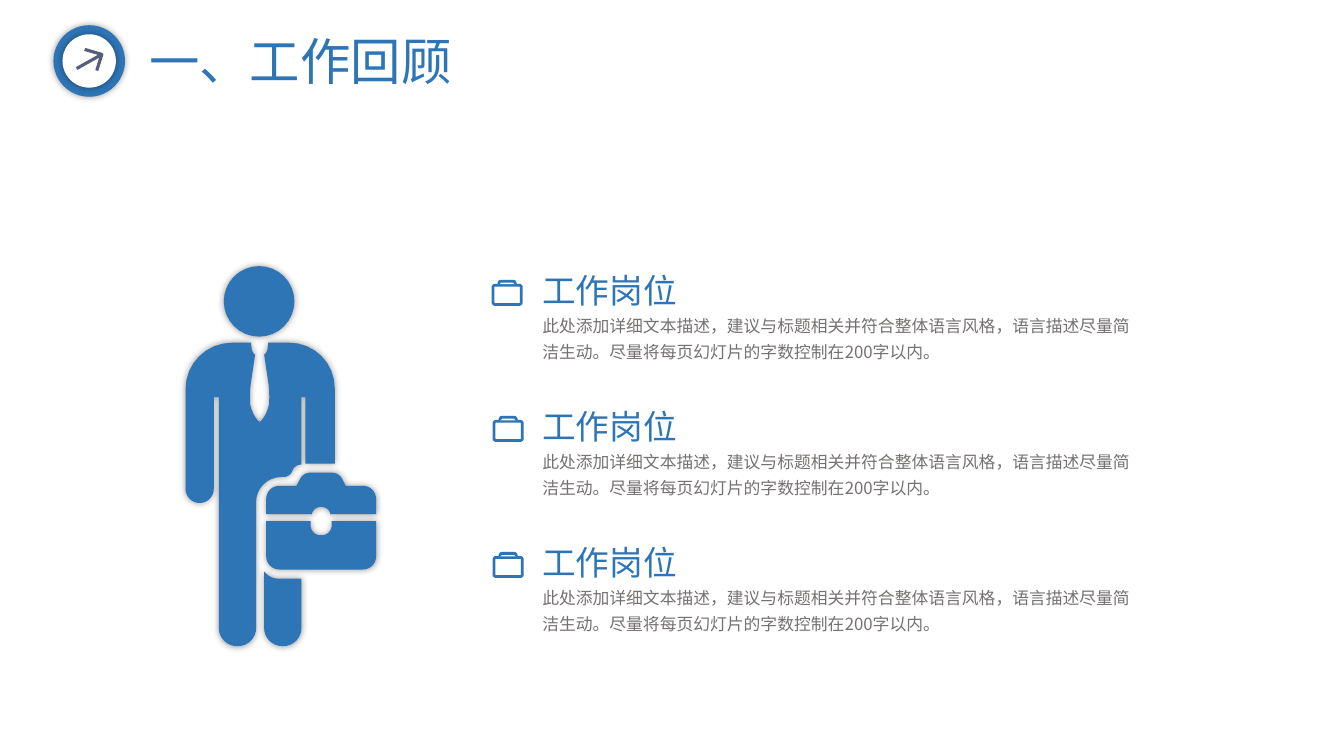
"""Build the work review slide with a businessman figure and three job entries."""
from math import cos, dist, pi, sin

from lxml.etree import SubElement
from pptx import Presentation
from pptx.dml.color import RGBColor
from pptx.enum.shapes import MSO_CONNECTOR as CONNECTOR, MSO_SHAPE as SHAPE
from pptx.enum.text import MSO_AUTO_SIZE as AUTO_SIZE
from pptx.oxml.ns import qn
from pptx.util import Pt

PX = 9144
BLUE, WHITE, SLATE, GRAY = "2E75B6", "FFFFFF", "545D79", "767171"
HEADING_FONT, BODY_FONT = "Noto Sans CJK JP", "Noto Sans CJK SC"
DESCRIPTION = ("此处添加详细文本描述，建议与标题相关并符合整体语言风格，"
               "语言描述尽量简洁生动。尽量将每页幻灯片的字数控制在200字以内。")
ENTRY_COUNT, ENTRY_PITCH = 3, 135
ARC_STEPS = 8


def style(shape, fill=None, line=None, width=2, glow=False):
    if fill:
        shape.fill.solid()
        shape.fill.fore_color.rgb = RGBColor.from_string(fill)
    if line:
        shape.line.color.rgb = RGBColor.from_string(line)
        shape.line.width = Pt(width)
    else:
        shape.line.fill.background()
    effects = SubElement(shape._element.spPr, qn("a:effectLst"))
    if glow:
        shadow = SubElement(effects, qn("a:outerShdw"), blurRad=str(Pt(5)), dist="0", dir="0",
                            algn="ctr", rotWithShape="0")
        color = SubElement(shadow, qn("a:srgbClr"), val="000000")
        SubElement(color, qn("a:alpha"), val="40000")


def add_text(shapes, text, left, top, width, height, size, font=HEADING_FONT, color=BLUE,
             wrap=True, spacing=None):
    box = shapes.add_textbox(left * PX, top * PX, width * PX, height * PX)
    frame = box.text_frame
    frame.word_wrap = wrap
    frame.auto_size = AUTO_SIZE.SHAPE_TO_FIT_TEXT
    paragraph = frame.paragraphs[0]
    paragraph.line_spacing = spacing
    run = paragraph.add_run()
    run.text = text
    run.font.size = Pt(size)
    run.font.name = font
    run.font.color.rgb = RGBColor.from_string(color)
    SubElement(run.font._element, qn("a:ea"), typeface=font)


presentation = Presentation()
presentation.slide_width = 1333 * PX
presentation.slide_height = 750 * PX
slide = presentation.slides.add_slide(presentation.slide_layouts[6])

badge = slide.shapes.add_group_shape().shapes
for left, top, size, fill in [(53, 25, 71, BLUE), (62, 34, 53, WHITE)]:
    disc = badge.add_shape(SHAPE.OVAL, left * PX, top * PX, size * PX, size * PX)
    style(disc, fill, glow=True)
builder = badge.build_freeform(84 * PX, 49 * PX)
builder.add_line_segments([(101 * PX, 54 * PX), (96 * PX, 70 * PX)], close=False)
arrowhead = builder.convert_to_shape()
arrowhead.fill.background()
style(arrowhead, line=SLATE, width=2.25)
shaft = badge.add_connector(CONNECTOR.STRAIGHT, 76 * PX, 68 * PX, 101 * PX, 54 * PX)
style(shaft, line=SLATE, width=2.25)

add_text(slide.shapes, "一、工作回顾", 138, 25, 568, 71, 36)

# Every outline is a list of corners (x, y, rounding).
icon_case = [(0, 4, 2), (28, 4, 2), (28, 23, 2), (0, 23, 2)]
icon_handle = [(6, 3, 0), (6, 0, 2), (22, 0, 2), (22, 3, 0)]
icon_lines = [(0, 17, 28), (10, 0, 19)]
outlines = []

for index in range(ENTRY_COUNT):
    offset = index * ENTRY_PITCH
    entry = slide.shapes.add_group_shape().shapes
    add_text(entry, DESCRIPTION, 528, 302 + offset, 615, 60, 12, BODY_FONT, GRAY, spacing=1.3)
    add_text(entry, "工作岗位", 528, 263 + offset, 155, 50, 24, wrap=False)

    icon = slide.shapes.add_group_shape().shapes
    icon_left = 489 if index == 0 else 490
    icon_top = 279 + offset
    for corners, closed in [(icon_case, True), (icon_handle, False)]:
        placed = [(icon_left + x, icon_top + y, rounding) for x, y, rounding in corners]
        outlines.append((icon, placed, closed, {"fill": WHITE, "line": BLUE}))
    for start, height, end in icon_lines:
        y = (icon_top + height) * PX
        connector = icon.add_connector(
            CONNECTOR.STRAIGHT, (icon_left + start) * PX, y, (icon_left + end) * PX, y)
        style(connector, line=BLUE)

half_lid = [(309, 503, 9), (309, 510, 0), (264, 510, 0), (264, 482, 13), (294, 482, 0),
            (301, 469, 6)]
half_base = [(308, 531, 10), (308, 517, 0), (264, 517, 0), (264, 565, 13)]
half_tie = [(249, 340, 0), (250, 350, 4), (253, 352, 0), (247, 392, 12), (249, 408, 8),
            (257, 419, 3)]
lid, base, tie = [
    half + [(left + right - x, y, rounding) for x, y, rounding in reversed(half)]
    for half, left, right in [(half_lid, 264, 373), (half_base, 264, 373), (half_tie, 249, 266)]
]
head = [(222, 264, 35), (292, 264, 35), (292, 334, 35), (222, 334, 35)]
right_arm = [(332, 340, 45), (332, 460, 0), (303, 460, 0), (303, 394, 0), (299, 394, 0)]
gap_above_case = [(299, 461, 0), (292, 461, 6), (288, 473, 6), (254, 474, 24)]
left_leg = [(254, 641, 18), (217, 641, 18), (217, 394, 0)]
left_arm = [(212, 394, 0), (212, 499, 14), (184, 499, 14), (184, 340, 46)]
body = tie + right_arm + gap_above_case + left_leg + left_arm
right_leg = [(262, 567, 0), (269, 574, 6), (299, 574, 0), (299, 641, 18), (262, 641, 18)]

businessman = slide.shapes.add_group_shape().shapes
for part in [lid, base, head, body, right_leg]:
    outlines.append((businessman, part, True, {"fill": BLUE, "glow": True}))

for group, corners, closed, look in outlines:
    points = []
    for position, (x, y, rounding) in enumerate(corners):
        if not rounding:
            points.append((x * PX, y * PX))
            continue
        before = corners[position - 1]
        after = corners[(position + 1) % len(corners)]
        reach_before = rounding / dist((x, y), before[:2])
        reach_after = rounding / dist((x, y), after[:2])
        for step in range(ARC_STEPS + 1):
            angle = step / ARC_STEPS * pi / 2
            toward_before = reach_before * (1 - sin(angle))
            toward_after = reach_after * (1 - cos(angle))
            points.append((
                (x + (before[0] - x) * toward_before + (after[0] - x) * toward_after) * PX,
                (y + (before[1] - y) * toward_before + (after[1] - y) * toward_after) * PX))
    builder = group.build_freeform(*points[0])
    builder.add_line_segments(points[1:], close=closed)
    style(builder.convert_to_shape(), **look)

presentation.save("out.pptx")
